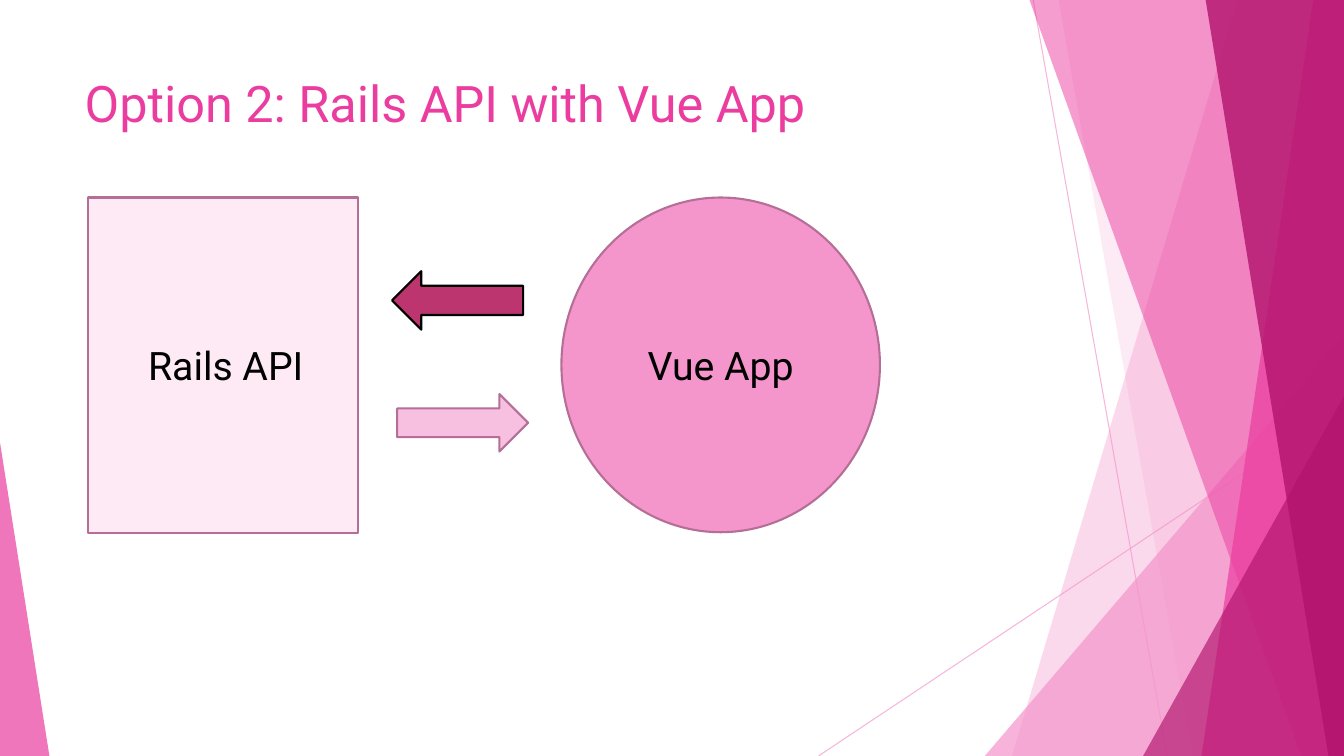
"""Build the slide that pairs a Rails API with a Vue app."""
from dataclasses import dataclass
from typing import Any

from lxml.etree import SubElement
from pptx import Presentation
from pptx.dml.color import RGBColor as Rgb
from pptx.enum.shapes import MSO_CONNECTOR as Connector, MSO_SHAPE as Shape
from pptx.enum.text import MSO_ANCHOR as Anchor, MSO_AUTO_SIZE as AutoSize, PP_ALIGN as Align
from pptx.oxml.ns import qn
from pptx.util import Pt

WIDTH, HEIGHT = 960, 540
FACET_TOP = -0.72


@dataclass(frozen=True)
class Theme:
    font: str = "Roboto"
    title_size: int = 36
    label_size: int = 28
    ray_width: float = 0.75
    outline_width: float = 1.5
    rose: str = "F496CB"
    pink: str = "EB3D9F"
    magenta: str = "B2136D"
    blush: str = "FDEAF5"
    petal: str = "F8C0E0"
    crimson: str = "BC356F"
    mauve: str = "B56F96"
    black: str = "000000"


THEME = Theme()


@dataclass(frozen=True)
class Ray:
    start: tuple[float, float]
    end: tuple[float, float]


@dataclass(frozen=True)
class Facet:
    top_x: float
    bottom_x: float
    color: str
    opacity: int


@dataclass(frozen=True)
class Corner:
    left: float
    top: float
    width: float
    apex: float
    color: str
    opacity: int


@dataclass(frozen=True)
class Node:
    kind: Shape
    box: tuple[float, float, float, float]
    fill: str
    outline: str


@dataclass(frozen=True)
class Label:
    text: str
    left: float
    width: float


RAYS = (Ray((738, 0), (833.76, HEIGHT)), Ray((WIDTH, 290.16), (584.64, HEIGHT)))
BACKDROP = (
    Facet(884.16, 722.88, THEME.rose, 36),
    Facet(756, 851.76, THEME.rose, 20),
    Corner(703.44, 239.76, 256.56, 1, THEME.rose, 72),
    Facet(735.12, 929.52, THEME.pink, 50),
    Facet(938.16, 858.24, THEME.pink, 70),
    Facet(861.12, 948.96, THEME.magenta, 80),
    Corner(816.48, 282.96, 143.52, 1, THEME.magenta, 66),
    Corner(0, 316.08, 35.28, 0, THEME.pink, 70),
)
APPS = (
    Node(Shape.RECTANGLE, (62.64, 141.12, 192.96, 239.76), THEME.blush, THEME.mauve),
    Node(Shape.OVAL, (401.04, 141.12, 227.52, 239.04), THEME.rose, THEME.mauve),
)
LABELS = (Label("Rails API", 65.52, 191.52), Label("Vue App", 401.04, 227.52))
MESSAGES = (
    Node(Shape.LEFT_ARROW, (280.08, 193.68, 93.6, 41.76), THEME.crimson, THEME.black),
    Node(Shape.RIGHT_ARROW, (283.68, 281.52, 93.6, 41.04), THEME.petal, THEME.mauve),
)


def apply(target: Any, values: dict[str, Any]) -> None:
    for attribute, value in values.items():
        setattr(target, attribute, value)


def set_opacity(part: Any, percent: int) -> None:
    for color in part.element.xpath(".//a:srgbClr"):
        SubElement(color, qn("a:alpha"), val=str(percent * 1000))


def paint(part: Any, color: str) -> None:
    part.shadow.inherit = False
    part.fill.solid()
    part.fill.fore_color.rgb = Rgb.from_string(color)


def draw_ray(shapes: Any, ray: Ray) -> None:
    line = shapes.add_connector(Connector.STRAIGHT, *map(Pt, ray.start + ray.end))
    line.line.color.rgb = Rgb.from_string(THEME.rose)
    line.line.width = Pt(THEME.ray_width)
    set_opacity(line, 70)
    SubElement(line.element.spPr, qn("a:effectLst"))


def draw_backdrop(shapes: Any, piece: Facet | Corner) -> None:
    if isinstance(piece, Facet):
        outline = shapes.build_freeform(Pt(piece.top_x), Pt(FACET_TOP))
        corners = ((WIDTH, FACET_TOP), (WIDTH, HEIGHT), (piece.bottom_x, HEIGHT))
        outline.add_line_segments([(Pt(x), Pt(y)) for x, y in corners])
        panel = outline.convert_to_shape()
    else:
        box = (piece.left, piece.top, piece.width, HEIGHT - piece.top)
        panel = shapes.add_shape(Shape.ISOSCELES_TRIANGLE, *map(Pt, box))
        panel.adjustments[0] = piece.apex
    paint(panel, piece.color)
    panel.line.fill.background()
    set_opacity(panel, piece.opacity)


def draw_node(shapes: Any, node: Node) -> None:
    figure = shapes.add_shape(node.kind, *map(Pt, node.box))
    paint(figure, node.fill)
    figure.line.color.rgb = Rgb.from_string(node.outline)
    figure.line.width = Pt(THEME.outline_width)


def write(frame: Any, text: str, size: int, color: str, align: Align, layout: dict[str, Any]) -> None:
    frame.text = text
    apply(frame, {"word_wrap": True, "vertical_anchor": Anchor.TOP} | layout)
    paragraph = frame.paragraphs[0]
    paragraph.alignment = align
    font = paragraph.runs[0].font
    apply(font, {"name": THEME.font, "size": Pt(size)})
    font.color.rgb = Rgb.from_string(color)


def draw_label(shapes: Any, label: Label) -> None:
    box = shapes.add_textbox(*map(Pt, (label.left, 240.48, label.width, 41.04)))
    write(box.text_frame, label.text, THEME.label_size, THEME.black, Align.CENTER,
          {"auto_size": AutoSize.SHAPE_TO_FIT_TEXT})


def draw_title(title: Any) -> None:
    apply(title, {"left": Pt(53.28), "top": Pt(48.24), "width": Pt(676.8), "height": Pt(64.8)})
    write(title.text_frame, "Option 2: Rails API with Vue App", THEME.title_size,
          THEME.pink, Align.LEFT, {"auto_size": AutoSize.NONE})


def main() -> None:
    deck = Presentation()
    apply(deck, {"slide_width": Pt(WIDTH), "slide_height": Pt(HEIGHT)})
    shapes = deck.slides.add_slide(deck.slide_layouts[5]).shapes
    for ray in RAYS:
        draw_ray(shapes, ray)
    for piece in BACKDROP:
        draw_backdrop(shapes, piece)
    draw_title(shapes.title)
    for app in APPS:
        draw_node(shapes, app)
    for label in LABELS:
        draw_label(shapes, label)
    for message in MESSAGES:
        draw_node(shapes, message)
    deck.save("out.pptx")


if __name__ == "__main__":
    main()
